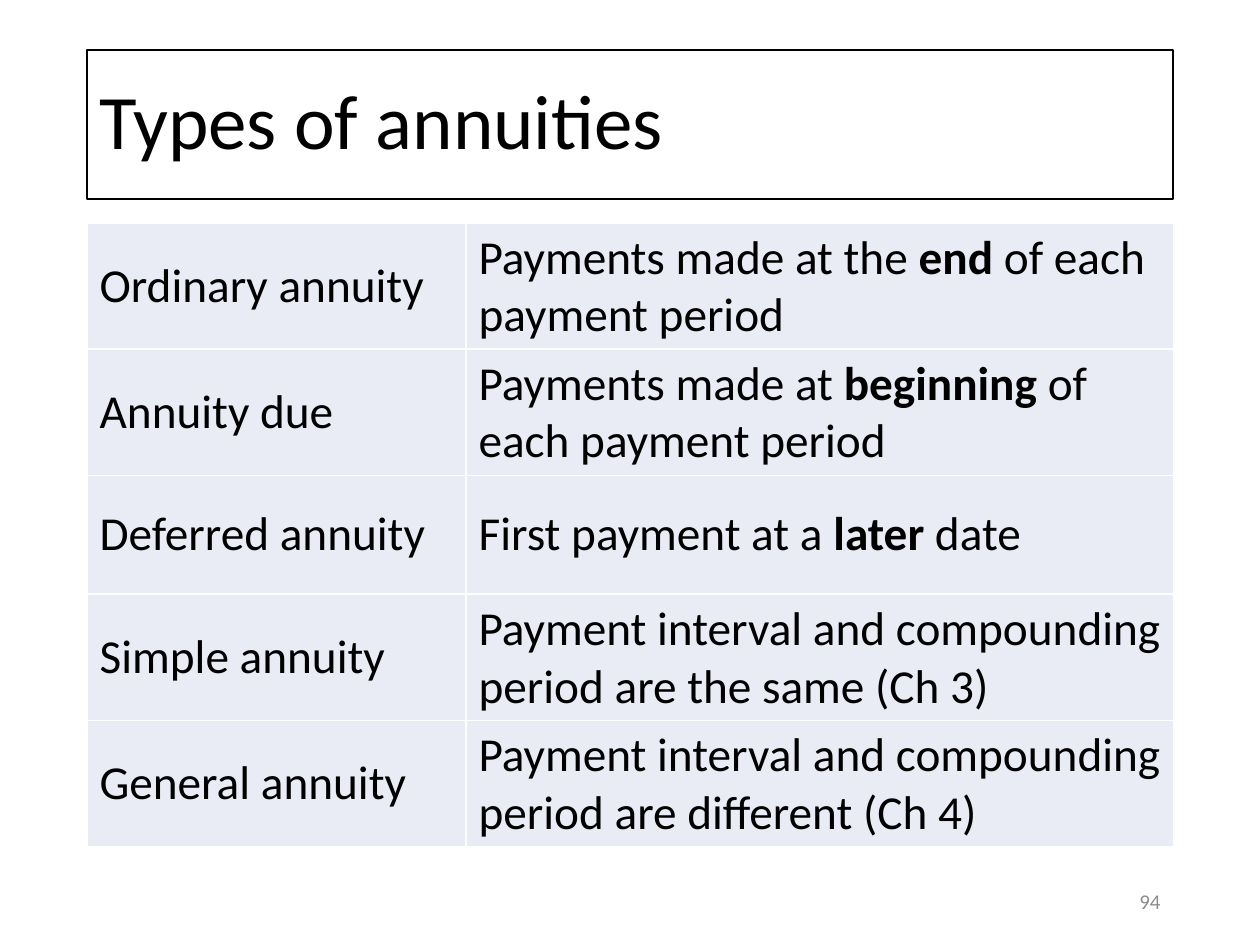
"""Build the slide that lists the types of annuities."""
import pptx
import pptx.dml.color
import pptx.enum.text
import pptx.oxml
import pptx.oxml.ns
import pptx.util

PX = 914400 // 126
MID = pptx.enum.text.MSO_ANCHOR.MIDDLE


def hue(code):
    return pptx.dml.color.RGBColor.from_string(code)


def write(para, text, size, color="000000"):
    for i, part in enumerate(text.split("*")):
        if part:
            run = para.add_run()
            run.text = part
            run.font.name = "Calibri"
            run.font.size = pptx.util.Pt(size)
            run.font.bold = i % 2 == 1
            run.font.color.rgb = hue(color)


deck = pptx.Presentation()
deck.slide_width = 1260 * PX
deck.slide_height = 945 * PX
slide = deck.slides.add_slide(deck.slide_layouts[6])

title = slide.shapes.add_textbox(87 * PX, 50 * PX, 1086 * PX, 149 * PX)
title.line.color.rgb = hue("000000")
title.line.width = pptx.util.Pt(0.75)
title.text_frame.word_wrap = True
title.text_frame.vertical_anchor = MID
head = title.text_frame.paragraphs[0]
head.line_spacing = 0.9
write(head, "Types of annuities", 44)

rows = [
    ("Ordinary annuity", "Payments made at the *end* of each payment period"),
    ("Annuity due", "Payments made at *beginning* of each payment period"),
    ("Deferred annuity", "First payment at a *later* date"),
    ("Simple annuity", "Payment interval and compounding period are the same (Ch 3)"),
    ("General annuity", "Payment interval and compounding period are different (Ch 4)"),
]
frame = slide.shapes.add_table(len(rows), 2, 87 * PX, 223 * PX, 1087 * PX, 595 * PX)
table = frame.table
table.first_row = False
table.horz_banding = False
for col, width in zip(table.columns, (379, 708)):
    col.width = width * PX
for r, row in enumerate(rows):
    table.rows[r].height = 119 * PX
    for c, text in enumerate(row):
        cell = table.cell(r, c)
        cell.vertical_anchor = MID
        props = cell._tc.get_or_add_tcPr()
        for side in ("lnL", "lnR", "lnT", "lnB"):
            props.append(pptx.oxml.parse_xml(
                f'<a:{side} {pptx.oxml.ns.nsdecls("a")} w="12700"><a:solidFill>'
                f'<a:srgbClr val="FFFFFF"/></a:solidFill></a:{side}>'))
        cell.fill.solid()
        cell.fill.fore_color.rgb = hue("E9EBF5")
        write(cell.text_frame.paragraphs[0], text, 27)

page = slide.shapes.add_textbox(890 * PX, 876 * PX, 283 * PX, 50 * PX)
page.text_frame.word_wrap = True
page.text_frame.vertical_anchor = MID
foot = page.text_frame.paragraphs[0]
foot.alignment = pptx.enum.text.PP_ALIGN.RIGHT
write(foot, "94", 12, "8C8C8C")

deck.save("out.pptx")
